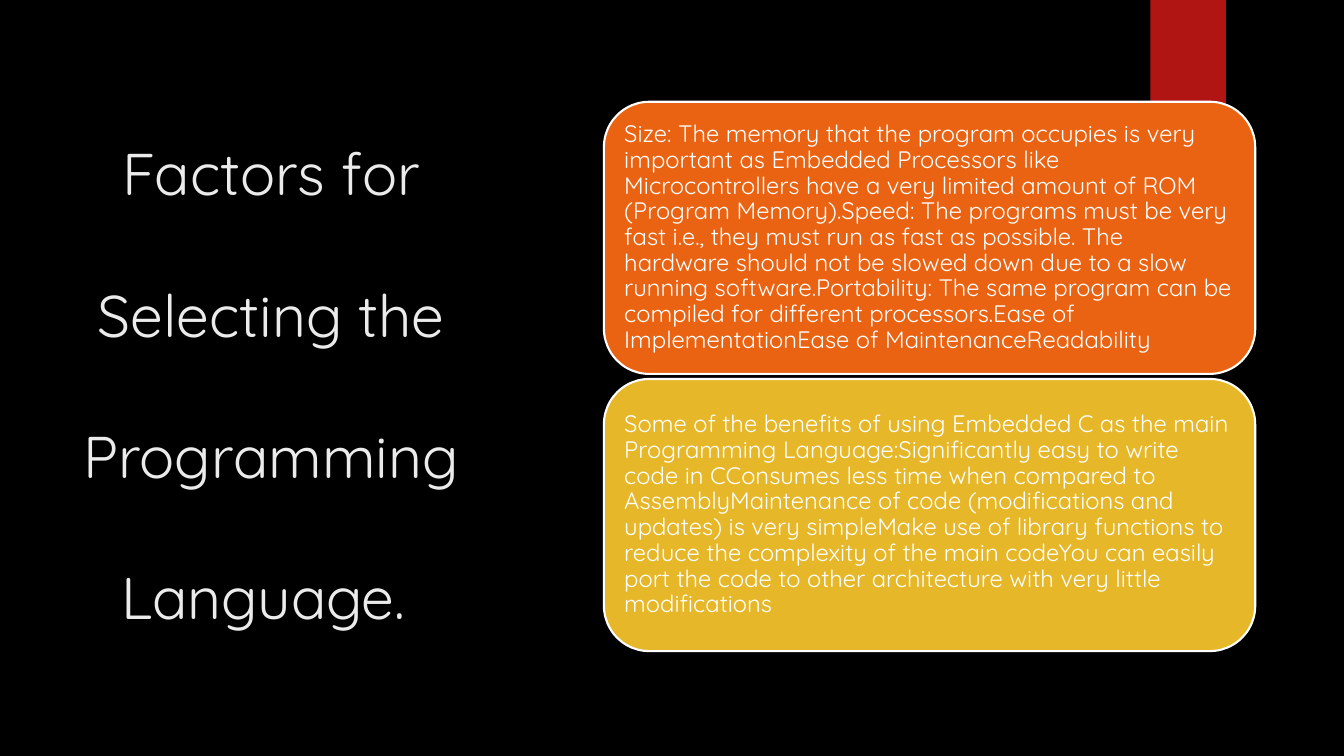
import pptx
import pptx.dml.color
import pptx.enum.shapes
import pptx.enum.text
import pptx.util

Inches = pptx.util.Inches
RGBColor = pptx.dml.color.RGBColor
Shape = pptx.enum.shapes.MSO_SHAPE
Anchor = pptx.enum.text.MSO_ANCHOR
Align = pptx.enum.text.PP_ALIGN

BLACK = RGBColor(0x00, 0x00, 0x00)
WHITE = RGBColor(0xFF, 0xFF, 0xFF)
OFF_WHITE = RGBColor(0xEB, 0xEB, 0xEB)
RED = RGBColor(0xB0, 0x15, 0x13)
ORANGE = RGBColor(0xEA, 0x63, 0x12)
YELLOW = RGBColor(0xE6, 0xB7, 0x29)

FACTORS = (
    "Size: The memory that the program occupies is very important as Embedded "
    "Processors like Microcontrollers have a very limited amount of ROM (Program "
    "Memory).Speed: The programs must be very fast i.e., they must run as fast as "
    "possible. The hardware should not be slowed down due to a slow running "
    "software.Portability: The same program can be compiled for different "
    "processors.Ease of ImplementationEase of MaintenanceReadability"
)
BENEFITS = (
    "Some of the benefits of using Embedded C as the main Programming "
    "Language:Significantly easy to write code in CConsumes less time when compared "
    "to AssemblyMaintenance of code (modifications and updates) is very simpleMake "
    "use of library functions to reduce the complexity of the main codeYou can "
    "easily port the code to other architecture with very little modifications"
)


class SlideBuilder:
    font = "Quicksand"

    def __init__(self, deck):
        self.slide = deck.slides.add_slide(deck.slide_layouts[5])
        self.slide.background.fill.solid()
        self.slide.background.fill.fore_color.rgb = BLACK

    def set_text(self, frame, text, size, color, align, spacing, inset, anchor):
        frame.text = text
        frame.word_wrap = True
        frame.auto_size = pptx.enum.text.MSO_AUTO_SIZE.NONE
        frame.vertical_anchor = anchor
        frame.margin_left = frame.margin_right = Inches(inset[0])
        frame.margin_top = frame.margin_bottom = Inches(inset[1])
        paragraph = frame.paragraphs[0]
        paragraph.alignment = align
        paragraph.line_spacing = spacing
        for run in paragraph.runs:
            run.font.name = self.font
            run.font.size = pptx.util.Pt(size)
            run.font.color.rgb = color

    def title(self, text, left, top, width, height):
        heading = self.slide.shapes.title
        heading.left, heading.top = Inches(left), Inches(top)
        heading.width, heading.height = Inches(width), Inches(height)
        self.set_text(heading.text_frame, text, 42, OFF_WHITE, Align.CENTER, 2.0,
                      (0.1, 0.05), Anchor.TOP)

    def block(self, preset, left, top, width, height, color):
        block = self.slide.shapes.add_shape(
            preset, Inches(left), Inches(top), Inches(width), Inches(height))
        block.shadow.inherit = False
        block.fill.solid()
        block.fill.fore_color.rgb = color
        block.line.fill.background()
        return block

    def card(self, text, left, top, width, height, color):
        card = self.block(Shape.ROUNDED_RECTANGLE, left, top, width, height, color)
        card.line.color.rgb = WHITE
        card.line.width = pptx.util.Pt(1.5)
        self.set_text(card.text_frame, text, 17, WHITE, Align.LEFT, 0.9,
                      (0.07, 0.07), Anchor.MIDDLE)


def main():
    deck = pptx.Presentation()
    deck.slide_width, deck.slide_height = Inches(13.33), Inches(7.5)
    page = SlideBuilder(deck)
    page.block(Shape.RECTANGLE, 11.41, 0, 0.75, 1.25, RED)
    page.title("Factors for Selecting the Programming Language. ",
               0.63, 0.61, 4.12, 6.24)
    for row, (text, color) in enumerate([(FACTORS, ORANGE), (BENEFITS, YELLOW)]):
        page.card(text, 5.99, 1.01 + row * 2.75, 6.46, 2.7, color)
    deck.save("out.pptx")


if __name__ == "__main__":
    main()
